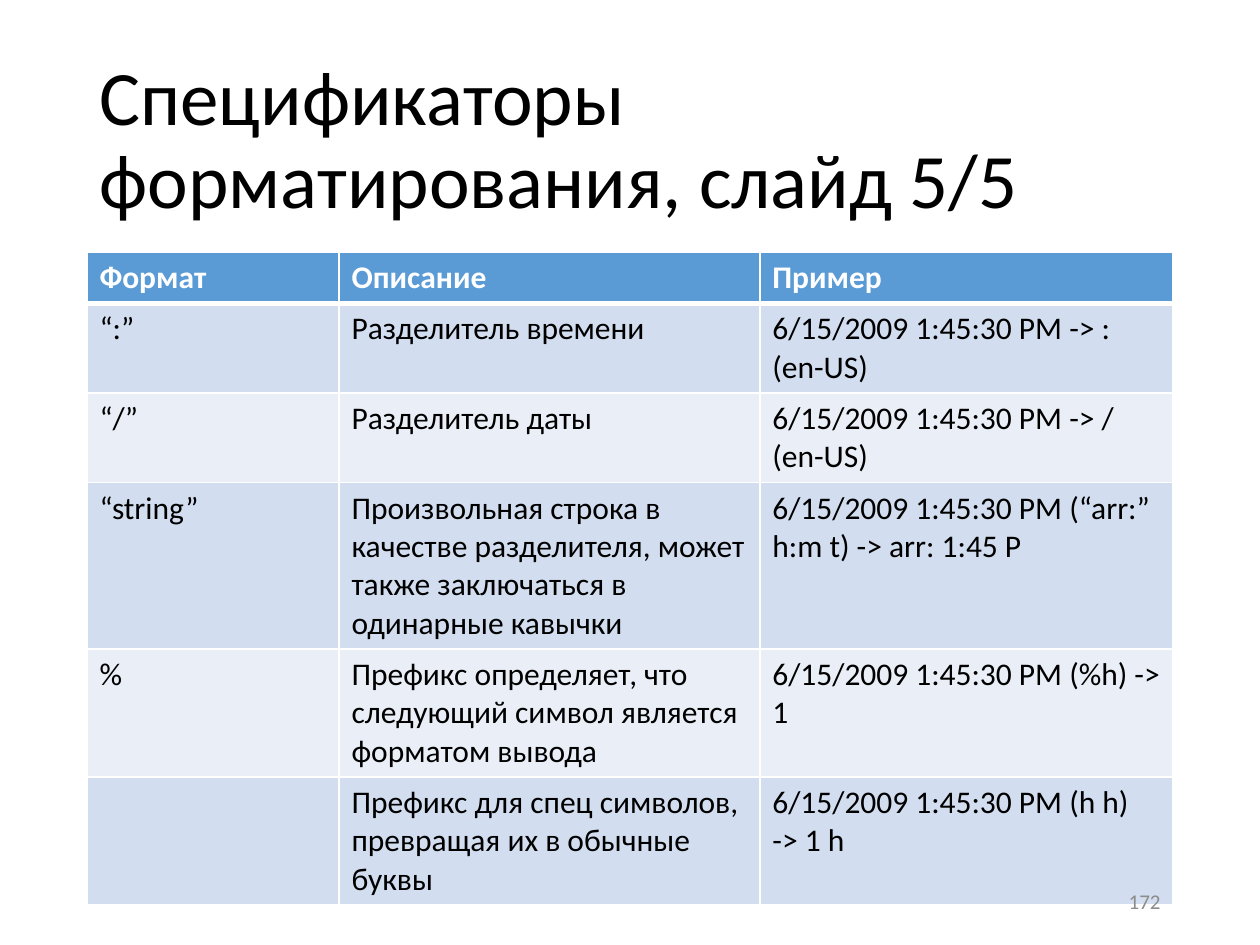
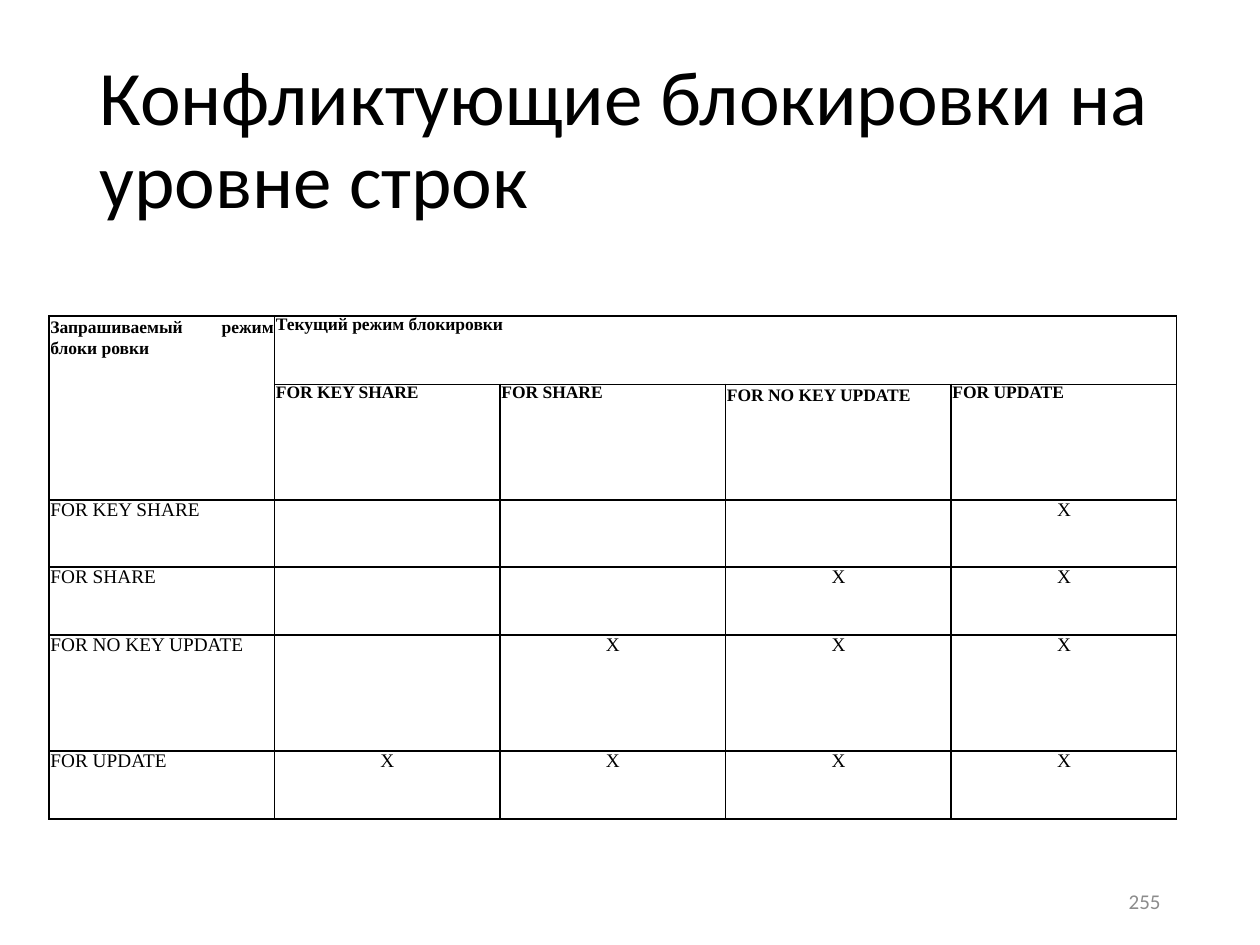
import pptx
import pptx.dml.color
import pptx.enum.text
import pptx.oxml
import pptx.oxml.ns
import pptx.util

Inches = pptx.util.Inches
Pt = pptx.util.Pt
ALIGN = pptx.enum.text.PP_ALIGN
ANCHOR = pptx.enum.text.MSO_ANCHOR

COLORS = {
    "text": "000000",
    "paper": "FFFFFF",
    "header": "5B9BD5",
    "odd_band": "D2DEEF",
    "even_band": "EAEFF7",
    "page_number": "8C8C8C",
}
SANS = "Calibri"
SERIF = "Times New Roman"
TITLE_ONLY = 5


def rgb(name):
    return pptx.dml.color.RGBColor.from_string(COLORS[name])


class Deck:
    def __init__(self):
        self.prs = pptx.Presentation()
        self.prs.slide_width = Inches(10)
        self.prs.slide_height = Inches(7.5)
        self.slide = None

    def add_slide(self, title):
        self.slide = self.prs.slides.add_slide(self.prs.slide_layouts[TITLE_ONLY])
        heading = self.slide.shapes.title
        heading.left, heading.top = Inches(0.69), Inches(0.4)
        heading.width, heading.height = Inches(8.62), Inches(1.45)
        frame = heading.text_frame
        frame.auto_size = pptx.enum.text.MSO_AUTO_SIZE.NONE
        frame.vertical_anchor = ANCHOR.MIDDLE
        self.add_text(frame, title, 44, spacing=0.9)

    def add_text(self, frame, text, size, font=SANS, color="text", bold=False,
                 align=ALIGN.LEFT, spacing=None):
        paragraph = frame.paragraphs[0]
        paragraph.alignment = align
        if spacing:
            paragraph.line_spacing = spacing
        run = paragraph.add_run()
        run.text = text
        run.font.name = font
        run.font.size = Pt(size)
        run.font.bold = bold
        run.font.color.rgb = rgb(color)

    def page_number(self, number):
        footer = self.slide.shapes.add_textbox(
            Inches(7.06), Inches(6.95), Inches(2.25), Inches(0.4))
        frame = footer.text_frame
        frame.word_wrap = True
        frame.vertical_anchor = ANCHOR.MIDDLE
        self.add_text(frame, str(number), 12, color="page_number", align=ALIGN.RIGHT)

    def table(self, left, top, widths, heights):
        frame = self.slide.shapes.add_table(
            len(heights), len(widths), Inches(left), Inches(top),
            Inches(sum(widths)), Inches(sum(heights)))
        grid = frame.table
        for column, width in zip(grid.columns, widths):
            column.width = Inches(width)
        for row, height in zip(grid.rows, heights):
            row.height = Inches(height)
        return frame

    def style_cell(self, cell, fill, border, top=1, bottom=1):
        cell.fill.solid()
        cell.fill.fore_color.rgb = rgb(fill)
        properties = cell._tc.get_or_add_tcPr()
        edges = {"lnL": 1, "lnR": 1, "lnT": top, "lnB": bottom}
        for position, (edge, width) in enumerate(edges.items()):
            properties.insert(position, pptx.oxml.parse_xml(
                f'<a:{edge} {pptx.oxml.ns.nsdecls("a")} w="{Pt(width)}">'
                f'<a:solidFill><a:srgbClr val="{COLORS[border]}"/></a:solidFill>'
                f'</a:{edge}>'))


def format_specifiers(deck):
    deck.add_slide("Спецификаторы форматирования, слайд 5/5")
    specifiers = [
        ("Формат", "Описание", "Пример"),
        ("“:”", "Разделитель времени", "6/15/2009 1:45:30 PM -> : (en-US)"),
        ("“/”", "Разделитель даты", "6/15/2009 1:45:30 PM -> / (en-US)"),
        ("“string”",
         "Произвольная строка в качестве разделителя, может также "
         "заключаться в одинарные кавычки",
         "6/15/2009 1:45:30 PM (“arr:” h:m t) -> arr: 1:45 P"),
        ("%",
         "Префикс определяет, что следующий символ является форматом вывода",
         "6/15/2009 1:45:30 PM (%h) -> 1"),
        ("",
         "Префикс для спец символов, превращая их в обычные буквы",
         "6/15/2009 1:45:30 PM (h h) -> 1 h"),
    ]
    frame = deck.table(0.69, 2, [2, 3.34, 3.28], [0.41] * len(specifiers))
    frame.height = Inches(5.11)
    for r, row in enumerate(specifiers):
        is_header = r == 0
        band = "header" if is_header else "odd_band" if r % 2 else "even_band"
        for c, text in enumerate(row):
            cell = frame.table.cell(r, c)
            deck.style_cell(cell, band, "paper", top=3 if r == 1 else 1,
                            bottom=3 if is_header else 1)
            if text:
                deck.add_text(cell.text_frame, text, 18, bold=is_header,
                              color="paper" if is_header else "text")
    deck.page_number(172)


def row_lock_conflicts(deck):
    deck.add_slide("Конфликтующие блокировки на уровне строк")
    deck.page_number(255)
    modes = ["FOR KEY SHARE", "FOR SHARE", "FOR NO KEY UPDATE", "FOR UPDATE"]
    locks = deck.table(0.39, 2.51, [1.79] * 5,
                       [0.54, 0.92, 0.53, 0.54, 0.92, 0.54]).table
    for cell in locks.iter_cells():
        cell.margin_left = cell.margin_right = Inches(0.01)
        cell.margin_top = cell.margin_bottom = 0
        deck.style_cell(cell, "paper", "text")
    locks.cell(0, 0).merge(locks.cell(1, 0))
    locks.cell(0, 1).merge(locks.cell(0, 4))

    def fill_in(row, column, text, size=11, align=ALIGN.JUSTIFY, spacing=12):
        deck.add_text(locks.cell(row, column).text_frame, text, size, SERIF,
                      bold=row < 2, align=align, spacing=Pt(spacing))

    fill_in(0, 0, "Запрашиваемый режим блоки ровки", 10)
    fill_in(0, 1, "Текущий режим блокировки", 10, ALIGN.LEFT, 10.5)
    for i, mode in enumerate(modes):
        if mode == "FOR NO KEY UPDATE":
            fill_in(1, i + 1, mode, 10)
        else:
            fill_in(1, i + 1, mode, 10, ALIGN.LEFT, 10.5)
        fill_in(i + 2, 0, mode)
        for held in range(len(modes) - 1 - i, len(modes)):
            fill_in(i + 2, held + 1, "X", align=ALIGN.CENTER)


def main():
    deck = Deck()
    format_specifiers(deck)
    row_lock_conflicts(deck)
    deck.prs.save("out.pptx")


if __name__ == "__main__":
    main()
